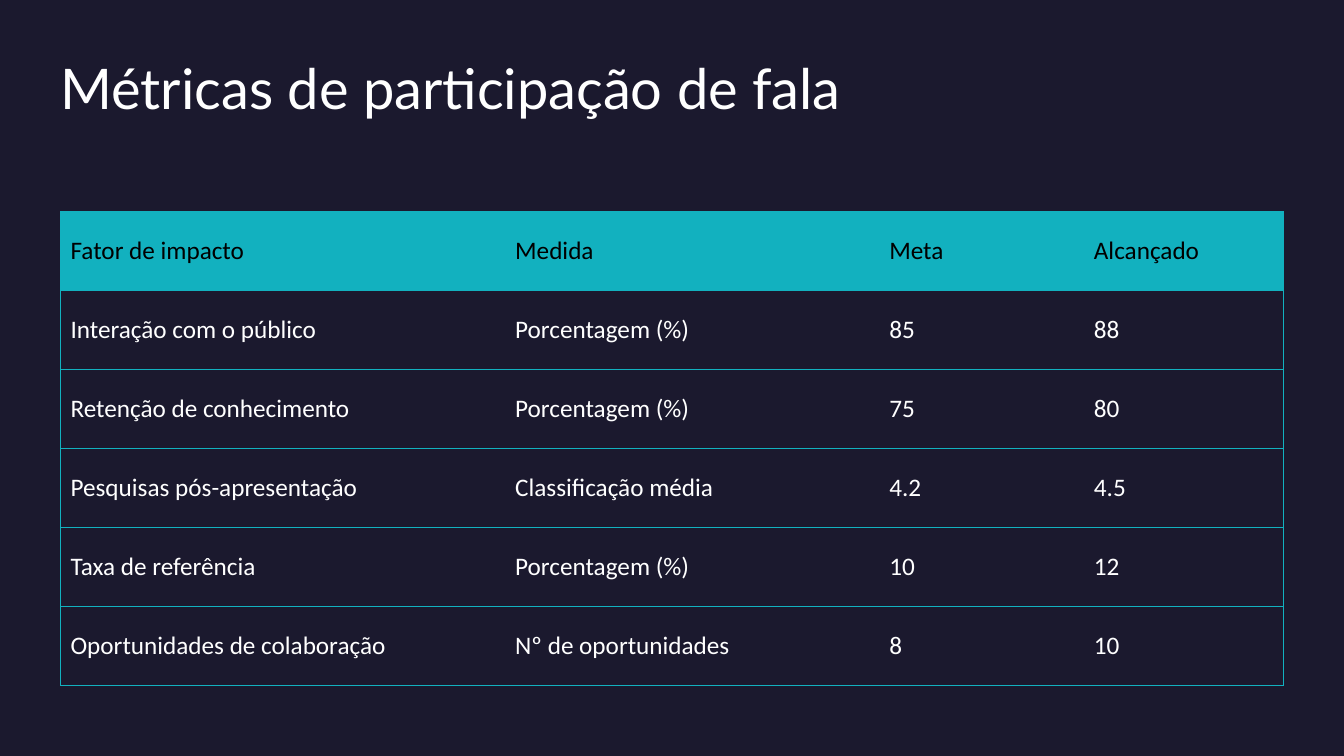
from lxml import etree
from pptx import Presentation
from pptx.dml.color import RGBColor
from pptx.enum.text import MSO_ANCHOR as Anchor
from pptx.oxml.ns import qn
from pptx.util import Inches, Pt

TITLE = "Métricas de participação de fala"
ROWS = [
    ("Fator de impacto", "Medida", "Meta", "Alcançado"),
    ("Interação com o público", "Porcentagem (%)", "85", "88"),
    ("Retenção de conhecimento", "Porcentagem (%)", "75", "80"),
    ("Pesquisas pós-apresentação", "Classificação média", "4.2", "4.5"),
    ("Taxa de referência", "Porcentagem (%)", "10", "12"),
    ("Oportunidades de colaboração", "Nº de oportunidades", "8", "10"),
]
COLUMN_WIDTHS = [4.41, 3.71, 2.03, 1.98]
COLORS = {"background": "1B192E", "accent": "12B1BF", "header": "000000", "text": "FFFFFF"}
LEFT, TITLE_TOP, TITLE_HEIGHT = 0.6, 0.61, 1.3
TABLE_TOP, TABLE_HEIGHT = 2.1, 4.7
WIDTH = sum(COLUMN_WIDTHS)


def color(name):
    return RGBColor.from_string(COLORS[name])


def add_span(para, text, font_name, size, color_name):
    span = para.add_run()
    span.text = text
    span.font.name = font_name
    span.font.size = Pt(size)
    span.font.bold = False
    span.font.color.rgb = color(color_name)


def set_borders(cell, visible):
    """Draw the visible sides (letters out of L, R, T, B) and clear the others."""
    properties = cell._tc.get_or_add_tcPr()
    for position, side in enumerate("LRTB"):
        line = etree.Element(qn(f"a:ln{side}"), w=str(Pt(0.5)))
        if side in visible:
            fill = etree.SubElement(line, qn("a:solidFill"))
            etree.SubElement(fill, qn("a:srgbClr"), val=COLORS["accent"])
        else:
            etree.SubElement(line, qn("a:noFill"))
        properties.insert(position, line)


def add_title(page):
    box = page.shapes.add_textbox(
        Inches(LEFT), Inches(TITLE_TOP), Inches(WIDTH), Inches(TITLE_HEIGHT))
    frame = box.text_frame
    frame.word_wrap = True
    frame.margin_left = frame.margin_right = frame.margin_top = frame.margin_bottom = 0
    para = frame.paragraphs[0]
    para.line_spacing = 0.9
    add_span(para, TITLE, "Lato", 40, "text")


def add_metrics_table(page):
    table = page.shapes.add_table(
        len(ROWS), len(COLUMN_WIDTHS), Inches(LEFT), Inches(TABLE_TOP),
        Inches(WIDTH), Inches(TABLE_HEIGHT)).table
    table.horz_banding = False
    for column, width in zip(table.columns, COLUMN_WIDTHS):
        column.width = Inches(width)
    last_column = len(COLUMN_WIDTHS) - 1
    for row_index, row in enumerate(ROWS):
        is_header = row_index == 0
        for column_index, text in enumerate(row):
            cell = table.cell(row_index, column_index)
            cell.vertical_anchor = Anchor.MIDDLE
            if is_header:
                cell.fill.solid()
                cell.fill.fore_color.rgb = color("accent")
            else:
                cell.fill.background()
            edges = {0: "L", last_column: "R"}
            set_borders(cell, "TB" + edges.get(column_index, ""))
            add_span(cell.text_frame.paragraphs[0], text, "Calibri", 18,
                     "header" if is_header else "text")


def main():
    deck = Presentation()
    deck.slide_width, deck.slide_height = Inches(13.33), Inches(7.5)
    page = deck.slides.add_slide(deck.slide_layouts[6])
    page.background.fill.solid()
    page.background.fill.fore_color.rgb = color("background")
    add_title(page)
    add_metrics_table(page)
    deck.save("out.pptx")


if __name__ == "__main__":
    main()
